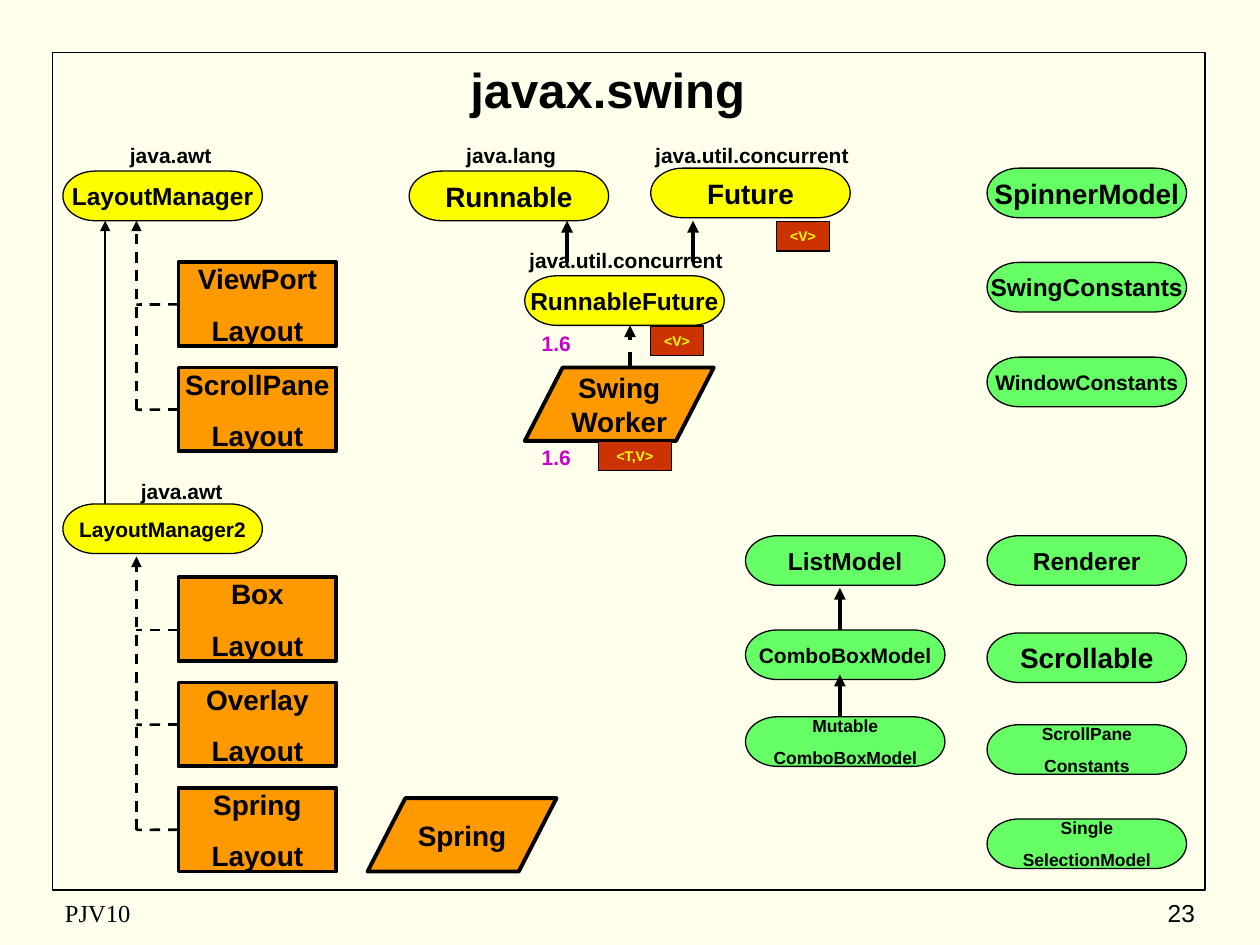
import pptx
import pptx.dml.color
import pptx.enum.dml
import pptx.enum.shapes
import pptx.enum.text
import pptx.oxml
import pptx.oxml.ns
import pptx.util
from pptx.util import Cm

SHAPES = pptx.enum.shapes.MSO_SHAPE
ALIGN = pptx.enum.text.PP_ALIGN
ANCHOR = pptx.enum.text.MSO_ANCHOR
BLACK, YELLOW, GREEN, ORANGE = "000000", "FFFF00", "66FF66", "FF9900"
RED, PURPLE, CREAM = "CC3300", "CC00CC", "FFFFEB"


def rgb(value):
    return pptx.dml.color.RGBColor.from_string(value)


def write(shape, text, size, align=ALIGN.CENTER, color=BLACK, gap=0, bold=True,
          font="Arial", wrap=False):
    frame = shape.text_frame
    frame.text = text
    frame.word_wrap = wrap
    frame.vertical_anchor = ANCHOR.MIDDLE
    for number, paragraph in enumerate(frame.paragraphs):
        paragraph.alignment = align
        paragraph.space_before = pptx.util.Pt(gap if number else 0)
        for run in paragraph.runs:
            run.font.name, run.font.bold = font, bold
            run.font.size = pptx.util.Pt(size)
            run.font.color.rgb = rgb(color)


presentation = pptx.Presentation()
presentation.slide_width, presentation.slide_height = Cm(25.4), Cm(19.05)
slide = presentation.slides.add_slide(presentation.slide_layouts[5])
slide.background.fill.solid()
slide.background.fill.fore_color.rgb = rgb(CREAM)

# Title
title = slide.shapes.title
title.left, title.top, title.width, title.height = Cm(1.06), Cm(1.06), Cm(22.38), Cm(1.48)
write(title, "javax.swing", 28, wrap=True)

# Footer
for text, left, width, align, font in [
    ("PJV10", 1.06, 8.05, ALIGN.LEFT, "Times New Roman"),
    ("23", 19.05, 5.29, ALIGN.RIGHT, "Arial"),
]:
    footer = slide.shapes.add_textbox(Cm(left), Cm(17.98), Cm(width), Cm(0.84))
    write(footer, text, 14, align, bold=False, font=font, wrap=True)

# Frame, interfaces, classes and type parameters:
# kind -> (preset, width, height, fill, line width, text colour)
kinds = {
    "frame": (SHAPES.RECTANGLE, 23.24, 16.89, None, 1, BLACK),
    "interface": (SHAPES.FLOWCHART_TERMINATOR, 4.02, 1, YELLOW, 0.75, BLACK),
    "swing interface": (SHAPES.FLOWCHART_TERMINATOR, 4.02, 1, GREEN, 0.75, BLACK),
    "layout": (SHAPES.RECTANGLE, 3.18, 1.69, ORANGE, 2.25, BLACK),
    "class": (SHAPES.FLOWCHART_DATA, 3.81, 1.48, ORANGE, 2.25, BLACK),
    "parameter": (SHAPES.RECTANGLE, 1.06, 0.6, RED, 0.75, YELLOW),
    "parameters": (SHAPES.RECTANGLE, 1.48, 0.6, RED, 0.75, YELLOW),
}
layout_x, list_x, model_x = 3.6, 15.03, 19.9
nodes = [
    ("frame", "", 1.06, 1.06, 10),
    ("interface", "LayoutManager", 1.27, 3.45, 14),
    ("interface", "LayoutManager2", 1.27, 10.16, 12),
    ("interface", "Runnable", 8.25, 3.45, 16),
    ("interface", "Future", 13.12, 3.39, 16),
    ("interface", "RunnableFuture", 10.58, 5.56, 14),
    ("layout", "ViewPort\nLayout", layout_x, 5.29, 16),
    ("layout", "ScrollPane\nLayout", layout_x, 7.41, 16),
    ("layout", "Box\nLayout", layout_x, 11.64, 16),
    ("layout", "Overlay\nLayout", layout_x, 13.76, 16),
    ("layout", "Spring\nLayout", layout_x, 15.88, 16),
    ("class", "Spring", 7.41, 16.09, 16),
    ("class", "Swing\nWorker", 10.58, 7.41, 16),
    ("swing interface", "ListModel", list_x, 10.8, 14),
    ("swing interface", "ComboBoxModel", list_x, 12.7, 12),
    ("swing interface", "Mutable\nComboBoxModel", list_x, 14.45, 10),
    ("swing interface", "SpinnerModel", model_x, 3.39, 16),
    ("swing interface", "SwingConstants", model_x, 5.29, 14),
    ("swing interface", "WindowConstants", model_x, 7.2, 12),
    ("swing interface", "Renderer", model_x, 10.8, 14),
    ("swing interface", "Scrollable", model_x, 12.76, 16),
    ("swing interface", "ScrollPane\nConstants", model_x, 14.61, 10),
    ("swing interface", "Single\nSelectionModel", model_x, 16.51, 10),
    ("parameter", "<V>", 15.66, 4.46, 8),
    ("parameter", "<V>", 13.12, 6.57, 8),
    ("parameters", "<T,V>", 12.06, 8.89, 8),
]
shapes = {}
for kind, text, left, top, size in nodes:
    preset, width, height, fill, line_width, color = kinds[kind]
    shape = slide.shapes.add_shape(preset, Cm(left), Cm(top), Cm(width), Cm(height))
    shape.shadow.inherit = False
    if fill:
        shape.fill.solid()
        shape.fill.fore_color.rgb = rgb(fill)
    else:
        shape.fill.background()
    shape.line.color.rgb = rgb(BLACK)
    shape.line.width = pptx.util.Pt(line_width)
    if text:
        gap = 0 if kind == "class" else size * 0.625
        write(shape, text, size, color=color, gap=gap)
    shapes[text] = shape

# Package names
for text, left, top, width in [
    ("java.awt", 1.9, 2.75, 4.23),
    ("java.awt", 2.12, 9.53, 4.23),
    ("java.lang", 8.68, 2.75, 3.6),
    ("java.util.concurrent", 12.49, 2.75, 5.29),
    ("java.util.concurrent", 9.95, 4.87, 5.29),
]:
    label = slide.shapes.add_textbox(Cm(left), Cm(top), Cm(width), Cm(0.76))
    write(label, text, 12, ALIGN.LEFT, wrap=True)
    label.text_frame.margin_left = Cm(0.72)

# Version numbers
for top in (6.53, 8.84):
    version = slide.shapes.add_textbox(Cm(10.58), Cm(top), Cm(1.27), Cm(0.76))
    write(version, "1.6", 12, color=PURPLE, wrap=True)

# Inheritance arrows and branches:
# x1, y1, x2, y2, line width, dashed, arrow, layout joined at its left side
trunk_x = 2.75
lines = [
    (2.12, 10.16, 2.12, 4.45, 1.5, False, True, None),
    (trunk_x, 8.26, trunk_x, 4.45, 1.5, True, True, None),
    (trunk_x, 16.73, trunk_x, 11.22, 1.5, True, True, None),
    (11.43, 5.29, 11.43, 4.45, 2.25, False, True, None),
    (13.97, 5.29, 13.97, 4.45, 2.25, False, True, None),
    (12.7, 7.41, 12.7, 6.56, 2.25, True, True, None),
    (16.93, 12.7, 16.93, 11.85, 2.25, False, True, None),
    (16.93, 14.45, 16.93, 13.6, 2.25, False, True, None),
    (layout_x, 12.7, trunk_x, 12.7, 1.5, True, False, None),
]
for name, y in [("ViewPort", 6.14), ("ScrollPane", 8.26), ("Overlay", 14.61), ("Spring", 16.73)]:
    lines.append((layout_x, y, trunk_x, y, 1.5, True, False, name + "\nLayout"))

for x1, y1, x2, y2, width, dashed, arrow, joined in lines:
    connector = slide.shapes.add_connector(
        pptx.enum.shapes.MSO_CONNECTOR.STRAIGHT, Cm(x1), Cm(y1), Cm(x2), Cm(y2))
    if joined:
        connector.begin_connect(shapes[joined], 1)
    connector.line.color.rgb = rgb(BLACK)
    connector.line.width = pptx.util.Pt(width)
    if dashed:
        connector.line.dash_style = pptx.enum.dml.MSO_LINE.DASH
    if arrow:
        head = pptx.oxml.parse_xml(
            "<a:tailEnd %s type='triangle'/>" % pptx.oxml.ns.nsdecls("a"))
        connector.line._get_or_add_ln().append(head)
    connector._element.spPr.append(pptx.oxml.parse_xml(
        "<a:effectLst %s/>" % pptx.oxml.ns.nsdecls("a")))

presentation.save("out.pptx")
